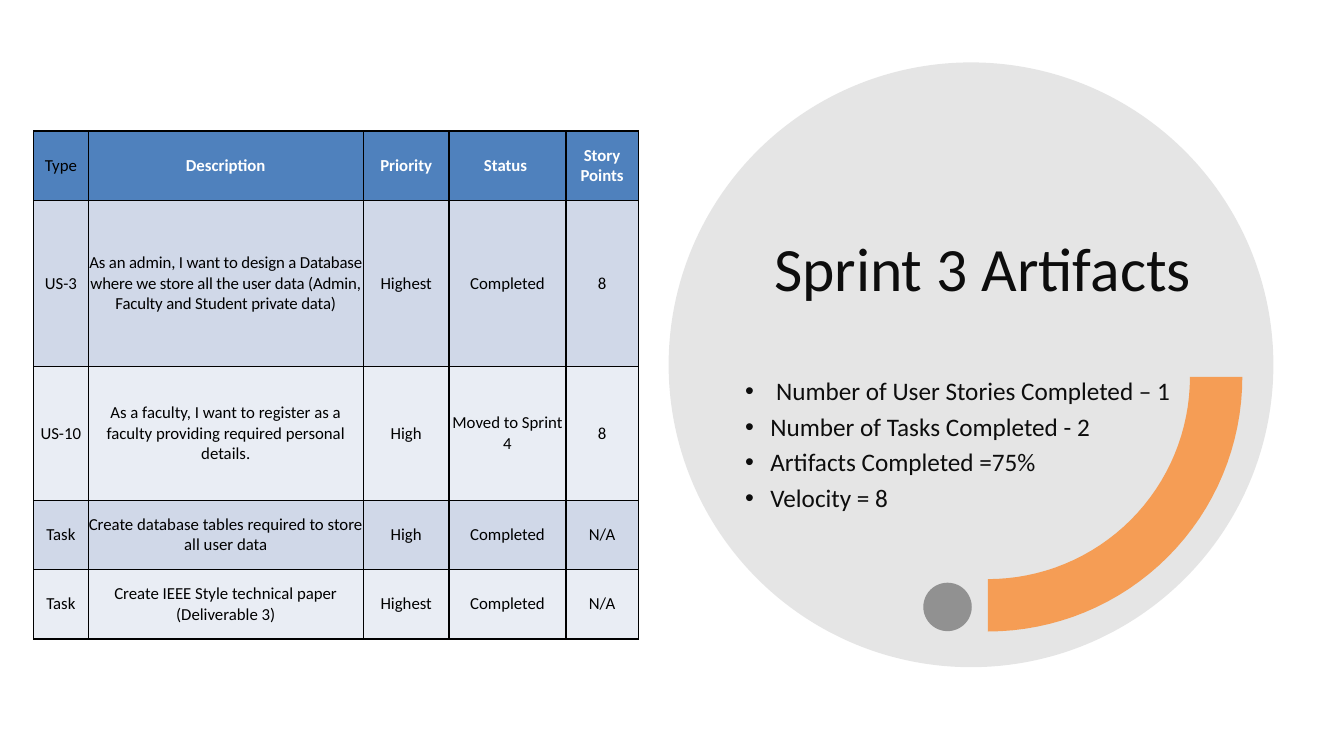
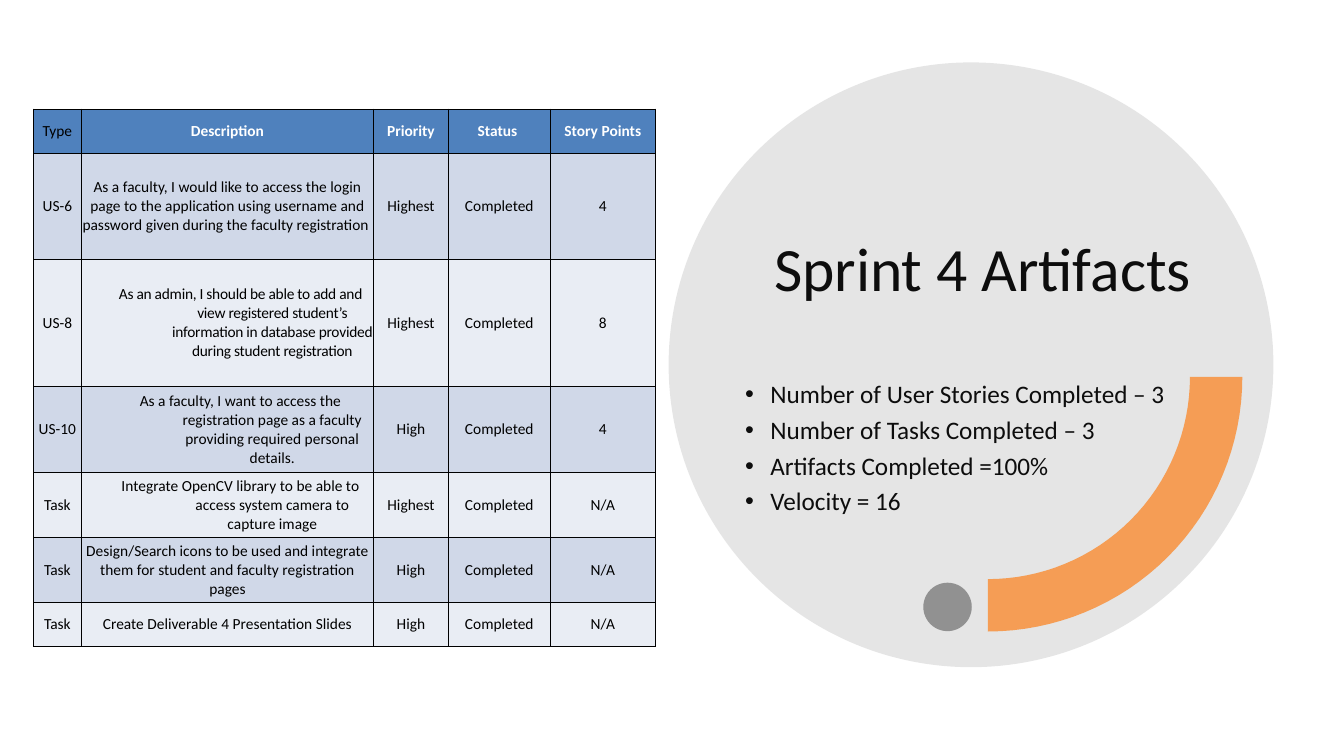
"""Builds two sprint artifact slides, each with a backlog table and a summary circle."""
import math

import pptx
import pptx.dml.color
import pptx.enum.shapes
import pptx.enum.text
import pptx.oxml
import pptx.oxml.ns
import pptx.util

Pt = pptx.util.Pt
RGBColor = pptx.dml.color.RGBColor
MIDDLE = pptx.enum.text.MSO_ANCHOR.MIDDLE
BOTTOM = pptx.enum.text.MSO_ANCHOR.BOTTOM
TOP = pptx.enum.text.MSO_ANCHOR.TOP
CENTER = pptx.enum.text.PP_ALIGN.CENTER
OVAL = pptx.enum.shapes.MSO_SHAPE.OVAL

FONT = "Calibri"
INK = RGBColor(0x0D, 0x0D, 0x0D)
BLACK = RGBColor(0, 0, 0)
WHITE = RGBColor(0xFF, 0xFF, 0xFF)
CIRCLE_GRAY = RGBColor(0x80, 0x80, 0x80)
DOT_GRAY = RGBColor(0x59, 0x59, 0x59)
ORANGE = RGBColor(0xF7, 0x96, 0x46)
HEADER_BLUE = RGBColor(0x4F, 0x81, 0xBD)
BANDS = [RGBColor(0xD0, 0xD8, 0xE8), RGBColor(0xE9, 0xED, 0xF4)]

HEADINGS = ("Type", "Description", "Priority", "Status ", "Story Points")
ARC_CENTER = (705.6, 269.3)
ARC_OUTER, ARC_INNER = 181.8, 144.4
ARC_STEPS = 32

SPRINTS = [
    {
        "title": "Sprint 3 Artifacts",
        "summary": [
            " Number of User Stories Completed – 1",
            "Number of Tasks Completed - 2",
            "Artifacts Completed =75%",
            "Velocity = 8",
        ],
        "summary_box": (516.2, 267.1, 334, 168.5),
        "table_top": 93.6,
        "text_size": 12,
        "columns": [39, 196.6, 61.2, 83.5, 51.7],
        "rows": [49.5, 118.8, 95.5, 49.5, 49.5],
        "hanging": [],
        "spacing": {1: -10},
        "items": [
            ("US-3", "As an admin, I want to design a Database where we store all the user "
             "data (Admin, Faculty and Student private data)", "Highest", "Completed", "8"),
            ("US-10", "As a faculty, I want to register as a faculty providing required "
             "personal details.", "High", "Moved to Sprint 4", "8"),
            ("Task", "Create database tables required to store all user data",
             "High", "Completed", "N/A"),
            ("Task", "Create IEEE Style technical paper (Deliverable 3)",
             "Highest", "Completed", "N/A"),
        ],
    },
    {
        "title": "Sprint 4 Artifacts",
        "summary": [
            "Number of User Stories Completed – 3",
            "Number of Tasks Completed – 3",
            "Artifacts Completed =100%",
            "Velocity = 16",
        ],
        "summary_box": (516.2, 269.3, 328.3, 133.2),
        "table_top": 78,
        "text_size": 11,
        "columns": [34, 209, 53.2, 73, 75],
        "rows": [31.5, 75.7, 90.7, 61.8, 46.3, 46.3, 31.5],
        "hanging": [2, 3, 4],
        "spacing": {2: -20},
        "items": [
            ("US-6", "As a faculty, I would like to access the login page to the application "
             "using username and password given during the faculty registration ",
             "Highest", "Completed", "4"),
            ("US-8", "As an admin, I should be able to add and view registered student’s "
             "information in database provided during student registration",
             "Highest", "Completed", "8"),
            ("US-10", "As a faculty, I want to access the registration page as a faculty "
             "providing required personal details.", "High", "Completed", "4"),
            ("Task", "Integrate OpenCV library to be able to access system camera to "
             "capture image", "Highest", "Completed", "N/A"),
            ("Task", "Design/Search icons to be used and integrate them for student and "
             "faculty registration pages", "High", "Completed", "N/A"),
            ("Task", "Create Deliverable 4 Presentation Slides",
             "High", "Completed", "N/A"),
        ],
    },
]


def paint(shape, color, opacity):
    """Give a shape a translucent fill without outline or shadow."""
    shape.shadow.inherit = False
    shape.fill.solid()
    shape.fill.fore_color.rgb = color
    shape.line.fill.background()
    tint = shape.fill._xPr.find(".//" + pptx.oxml.ns.qn("a:srgbClr"))
    alpha = pptx.oxml.parse_xml(
        f'<a:alpha {pptx.oxml.ns.nsdecls("a")} val="{opacity * 1000}"/>')
    tint.append(alpha)


def add_lines(slide, box, lines, size, anchor, bulleted=False):
    """Add a wrapped text box with one paragraph per line."""
    frame = slide.shapes.add_textbox(*map(Pt, box)).text_frame
    frame.word_wrap = True
    frame.vertical_anchor = anchor
    for number, line in enumerate(lines):
        paragraph = frame.paragraphs[0] if number == 0 else frame.add_paragraph()
        paragraph.line_spacing = 0.9
        if bulleted:
            paragraph.space_after = Pt(6)
            properties = paragraph._p.get_or_add_pPr()
            properties.set("marL", str(Pt(27)))
            properties.set("indent", str(Pt(-18)))
            for bullet in ('buFont {} typeface="Arial"', 'buChar {} char="•"'):
                properties.append(pptx.oxml.parse_xml(
                    f'<a:{bullet.format(pptx.oxml.ns.nsdecls("a"))}/>'))
        run = paragraph.add_run()
        run.text = line
        for key, value in {"name": FONT, "size": Pt(size)}.items():
            setattr(run.font, key, value)
        run.font.color.rgb = INK


deck = pptx.Presentation()
deck.slide_width, deck.slide_height = Pt(960), Pt(540)

for sprint in SPRINTS:
    slide = deck.slides.add_slide(deck.slide_layouts[6])

    circle = slide.shapes.add_shape(OVAL, Pt(477.6), Pt(44.6), Pt(432), Pt(432))
    paint(circle, CIRCLE_GRAY, 20)

    add_lines(slide, (545.8, 93.6, 328.3, 127.4), [sprint["title"]], 44, BOTTOM)

    dot = slide.shapes.add_shape(OVAL, Pt(659.5), Pt(416.2), Pt(34.6), Pt(34.6))
    paint(dot, DOT_GRAY, 60)

    angles = [math.pi / 2 * step / ARC_STEPS for step in range(ARC_STEPS + 1)]
    edge = [(ARC_OUTER, angle) for angle in angles]
    edge += [(ARC_INNER, angle) for angle in reversed(angles)]
    points = [(Pt(ARC_CENTER[0] + radius * math.cos(angle)),
               Pt(ARC_CENTER[1] + radius * math.sin(angle))) for radius, angle in edge]
    outline = slide.shapes.build_freeform(*points[0])
    outline.add_line_segments(points[1:], close=True)
    paint(outline.convert_to_shape(), ORANGE, 90)

    add_lines(slide, sprint["summary_box"], sprint["summary"], 18, TOP, bulleted=True)

    columns, rows = sprint["columns"], sprint["rows"]
    backlog = slide.shapes.add_table(
        len(rows), len(columns), Pt(24), Pt(sprint["table_top"]),
        Pt(sum(columns)), Pt(sum(rows))).table
    for column, width in zip(backlog.columns, columns):
        column.width = Pt(width)
    for row, height in zip(backlog.rows, rows):
        row.height = Pt(height)

    for r, texts in enumerate([HEADINGS] + sprint["items"]):
        for c, text in enumerate(texts):
            cell = backlog.cell(r, c)
            heading = r == 0 and c > 0
            cell.vertical_anchor = MIDDLE
            for side in ("left", "right", "top", "bottom"):
                setattr(cell, f"margin_{side}", 0)
            cell.fill.solid()
            cell.fill.fore_color.rgb = BANDS[(r - 1) % 2] if r else HEADER_BLUE
            for position, edge_tag in enumerate(("lnL", "lnR", "lnT", "lnB")):
                cell._tc.get_or_add_tcPr().insert(position, pptx.oxml.parse_xml(
                    f'<a:{edge_tag} {pptx.oxml.ns.nsdecls("a")} w="{Pt(1)}"><a:solidFill>'
                    f'<a:srgbClr val="{BLACK}"/></a:solidFill></a:{edge_tag}>'))

            paragraph = cell.text_frame.paragraphs[0]
            paragraph.alignment = CENTER
            run = paragraph.add_run()
            run.text = text
            style = {"name": FONT, "size": Pt(sprint["text_size"]), "bold": heading}
            for key, value in style.items():
                setattr(run.font, key, value)
            run.font.color.rgb = WHITE if heading else BLACK
            if c == 1 and r in sprint["hanging"]:
                paragraph._p.get_or_add_pPr().set("marL", str(Pt(64)))
                paragraph._p.get_or_add_pPr().set("indent", str(Pt(-45.4)))
            if c == 1 and r in sprint["spacing"]:
                run._r.get_or_add_rPr().set("spc", str(sprint["spacing"][r]))

deck.save("out.pptx")
